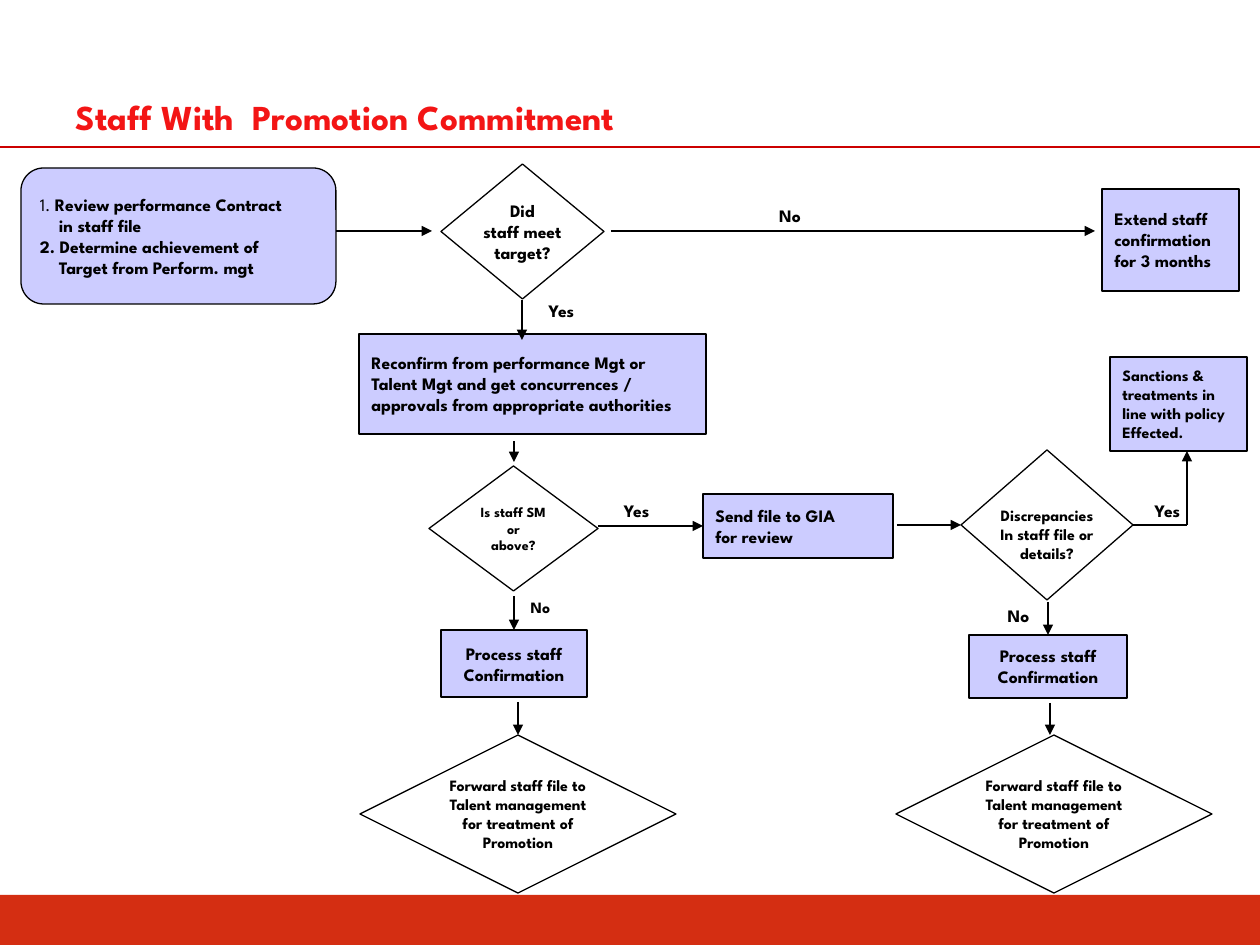
from lxml import etree
from pptx import Presentation
from pptx.dml.color import RGBColor
from pptx.enum.shapes import MSO_CONNECTOR, MSO_SHAPE
from pptx.enum.text import MSO_ANCHOR, MSO_AUTO_SIZE, PP_ALIGN
from pptx.oxml.ns import qn
from pptx.util import Pt

EMU_PER_PX = 914400 / 126
FONT = "League Spartan"
BLACK = "000000"
LILAC = "CCCCFF"
RECTANGLE = MSO_SHAPE.RECTANGLE
ROUNDED = MSO_SHAPE.ROUNDED_RECTANGLE
DIAMOND = MSO_SHAPE.DIAMOND
STRAIGHT = MSO_CONNECTOR.STRAIGHT
LEFT = PP_ALIGN.LEFT
CENTER = PP_ALIGN.CENTER
MIDDLE = MSO_ANCHOR.MIDDLE
BOTTOM = MSO_ANCHOR.BOTTOM
NO_AUTOFIT = MSO_AUTO_SIZE.NONE
TOP_SIDE, LEFT_SIDE, RIGHT_SIDE = 0, 1, 3


def px(value):
    return round(value * EMU_PER_PX)


def color(value):
    return RGBColor.from_string(value)


def write(frame, text, size, align, ink=BLACK):
    frame.text = text
    for para in frame.paragraphs:
        para.alignment = align
        for span in para.runs:
            span.font.name = FONT
            span.font.size = Pt(size)
            span.font.bold = True
            span.font.color.rgb = color(ink)


def add_title(page, text):
    title = page.shapes.title
    title.left, title.top, title.width, title.height = map(px, (63, 53, 693, 91))
    frame = title.text_frame
    frame.auto_size = NO_AUTOFIT
    frame.vertical_anchor = BOTTOM
    write(frame, text, 20, LEFT, "F31515")


def add_band(page):
    band = page.shapes.add_shape(RECTANGLE, *map(px, (0, 895, 1260, 50)))
    band.shadow.inherit = False
    band.fill.solid()
    band.fill.fore_color.rgb = color("D42E12")
    band.line.fill.background()


def add_node(page, kind, bounds, text, size=10, align=LEFT):
    node = page.shapes.add_shape(kind, *map(px, bounds))
    node.shadow.inherit = False
    if kind == DIAMOND:
        node.fill.background()
    else:
        node.fill.solid()
        node.fill.fore_color.rgb = color(LILAC)
    node.line.color.rgb = color(BLACK)
    node.line.width = Pt(0.75)
    frame = node.text_frame
    frame.word_wrap = align == LEFT
    frame.vertical_anchor = MIDDLE
    write(frame, text, size, align)
    return node


def add_decision(page, bounds, text, size=9):
    return add_node(page, DIAMOND, bounds, text, size, CENTER)


def add_label(page, bounds, text, size=10):
    box = page.shapes.add_textbox(*map(px, bounds))
    box.text_frame.word_wrap = True
    write(box.text_frame, text, size, CENTER)


def add_line(page, start, end, ink=BLACK, arrow=True):
    line = page.shapes.add_connector(STRAIGHT, *map(px, start + end))
    line.line.color.rgb = color(ink)
    line.line.width = Pt(0.75)
    if arrow:
        tail = etree.SubElement(line.line._get_or_add_ln(), qn("a:tailEnd"))
        tail.set("type", "triangle")
    etree.SubElement(line._element.spPr, qn("a:effectLst"))
    return line


def add_review_steps(page):
    steps = add_node(page, ROUNDED, (21, 168, 315, 136),
                     "Review performance Contract\nin staff file\n"
                     "2. Determine achievement of\nTarget from Perform. mgt")
    paras = steps.text_frame.paragraphs
    for para in paras[1::2]:
        para._p.get_or_add_pPr().set("marL", str(px(19)))
    write(steps.text_frame, "\n".join(["1. "] + [para.text for para in paras[1:]]), 10, LEFT)
    paras = steps.text_frame.paragraphs
    paras[0].runs[0].font.bold = False
    span = paras[0].add_run()
    span.text = "Review performance Contract"
    span.font.name = FONT
    span.font.size = Pt(10)
    span.font.bold = True
    span.font.color.rgb = color(BLACK)
    for para in paras[1::2]:
        para._p.get_or_add_pPr().set("marL", str(px(19)))


def add_nodes(page):
    add_review_steps(page)
    add_decision(page, (441, 164, 163, 135), "Did\nstaff meet\ntarget?", 10)
    add_node(page, RECTANGLE, (1102, 189, 137, 102),
             "Extend staff\nconfirmation\nfor 3 months")
    add_node(page, RECTANGLE, (359, 334, 347, 100),
             "Reconfirm from performance Mgt or\nTalent Mgt and get concurrences /\n"
             "approvals from appropriate authorities")
    add_node(page, RECTANGLE, (1110, 357, 137, 94),
             "Sanctions &\ntreatments in\nline with policy\nEffected.", 9)
    add_decision(page, (429, 466, 169, 125), "Is staff SM\nor\nabove?", 8)
    audit = add_node(page, RECTANGLE, (703, 494, 190, 64), "Send file to GIA\nfor review")
    check = add_decision(page, (961, 450, 172, 150),
                         "Discrepancies\nIn staff file or\ndetails?")
    check.text_frame.margin_top = px(19)
    check.text_frame.margin_bottom = 0
    confirm, confirm_after_check = [
        add_node(page, RECTANGLE, bounds, "Process staff\nConfirmation", 10, CENTER)
        for bounds in ((441, 630, 146, 67), (969, 635, 158, 63))]
    forward, _ = [
        add_decision(page, (left, 735, 316, 158),
                     "Forward staff file to\nTalent management\nfor treatment of\nPromotion")
        for left in (360, 896)]
    return audit, check, confirm, confirm_after_check, forward


def add_flow(page, audit, check, confirm, confirm_after_check, forward):
    for start, end in (((336, 231), (432, 231)), ((611, 231), (1095, 231)),
                       ((522, 300), (522, 340)), ((514, 441), (514, 462)),
                       ((1187, 525), (1187, 451)), ((1050, 703), (1050, 735))):
        add_line(page, start, end)
    for start, end, target, side in (
            ((598, 526), (703, 526), audit, LEFT_SIDE),
            ((897, 525), (961, 525), check, LEFT_SIDE),
            ((514, 596), (514, 630), confirm, TOP_SIDE),
            ((1048, 602), (1048, 635), confirm_after_check, TOP_SIDE),
            ((518, 702), (518, 735), forward, TOP_SIDE)):
        add_line(page, start, end).end_connect(target, side)
    branch = add_line(page, (1133, 525), (1187, 525), arrow=False)
    branch.begin_connect(check, RIGHT_SIDE)


def add_labels(page):
    for bounds, text in (((525, 294, 73, 34), "Yes"), ((756, 199, 68, 34), "No"),
                         ((609, 494, 55, 34), "Yes"), ((1136, 494, 63, 34), "Yes"),
                         ((987, 599, 63, 34), "No")):
        add_label(page, bounds, text)
    add_label(page, (514, 592, 53, 32), "No", 9)


def main():
    deck = Presentation()
    deck.slide_width, deck.slide_height = px(1260), px(945)
    page = deck.slides.add_slide(deck.slide_layouts[5])
    add_band(page)
    add_line(page, (0, 147), (1260, 147), "CC0000", arrow=False)
    add_title(page, "Staff With  Promotion Commitment")
    add_flow(page, *add_nodes(page))
    add_labels(page)
    deck.save("out.pptx")


if __name__ == "__main__":
    main()
